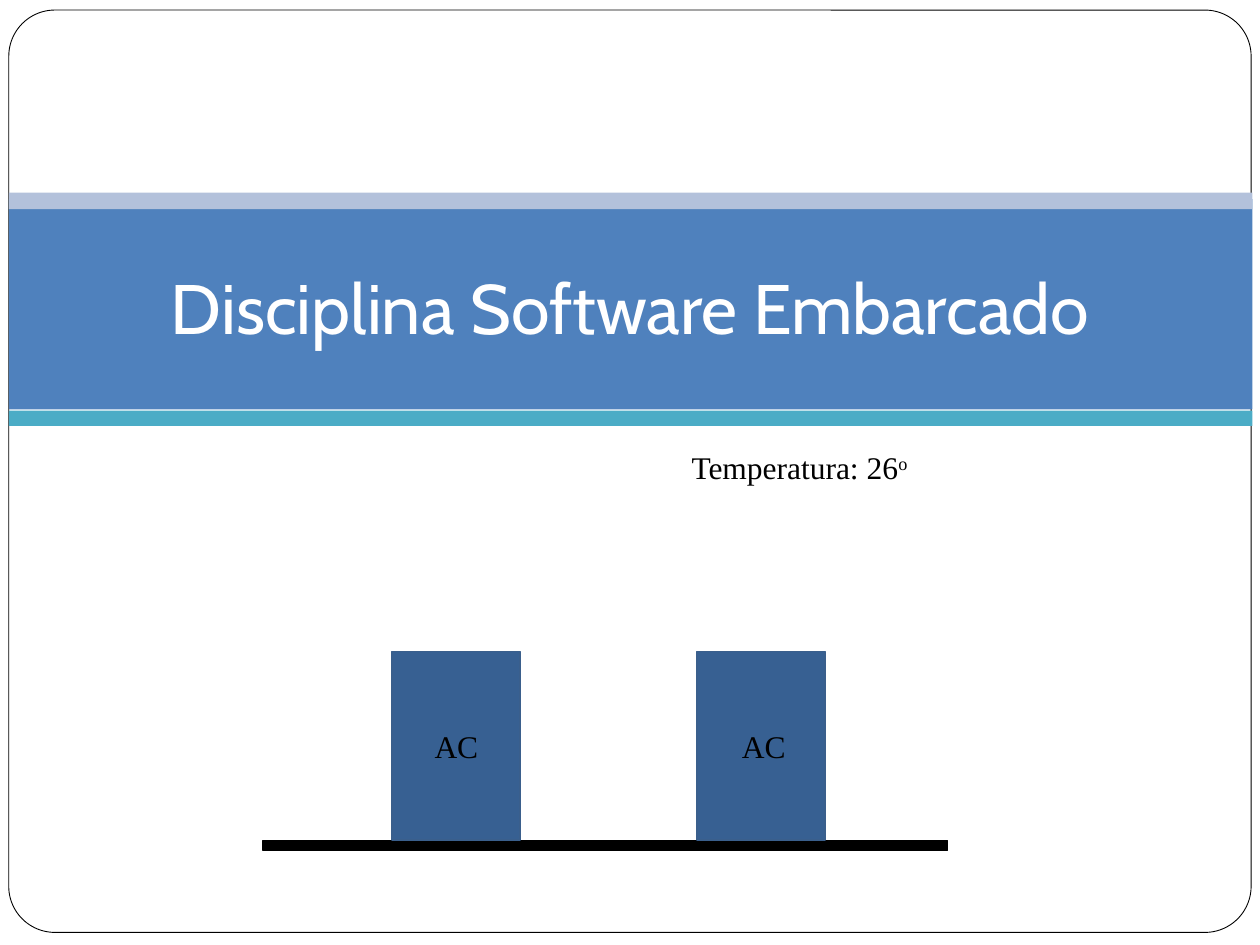
from dataclasses import dataclass

from pptx import Presentation
from pptx.dml.color import RGBColor
from pptx.enum.shapes import MSO_SHAPE
from pptx.enum.text import MSO_ANCHOR, MSO_AUTO_SIZE, PP_ALIGN
from pptx.util import Inches, Pt


@dataclass(frozen=True)
class Theme:
    white: str = "FFFFFF"
    black: str = "000000"
    band: str = "4F81BD"
    upper_stripe: str = "B3C1DB"
    lower_stripe: str = "4BACC6"
    unit: str = "376092"
    unit_line: str = "3A5F8C"
    title_font: str = "Cabin"
    body_font: str = "Times New Roman"
    title_size: int = 40
    body_size: int = 18


THEME = Theme()
SLIDE_WIDTH, SLIDE_HEIGHT = 10, 7.5
BAND_LEFT, BAND_WIDTH = 0.07, 9.87
FLOOR_TOP = 6.67
UNIT_WIDTH, UNIT_HEIGHT = 1.02, 1.5
UNIT_TOP = FLOOR_TOP - UNIT_HEIGHT
LABEL_TOP = 5.72
UNITS = ((3.11, 3.35), (5.53, 5.79))


def apply_format(target, values):
    for name, value in values.items():
        setattr(target, name, value)


def format_font(font, name, size, color):
    apply_format(font, {"name": name, "size": Pt(size), "bold": False})
    font.color.rgb = RGBColor.from_string(color)


def add_box(slide, box, fill, line=None, line_width=1, kind=MSO_SHAPE.RECTANGLE):
    shape = slide.shapes.add_shape(kind, *map(Inches, box))
    shape.shadow.inherit = False
    shape.fill.solid()
    shape.fill.fore_color.rgb = RGBColor.from_string(fill)
    if line:
        shape.line.color.rgb = RGBColor.from_string(line)
        shape.line.width = Pt(line_width)
    else:
        shape.line.fill.background()
    return shape


def add_label(slide, box, text, superscript=None):
    frame = slide.shapes.add_textbox(*map(Inches, box)).text_frame
    apply_format(frame, {"word_wrap": True, "auto_size": MSO_AUTO_SIZE.SHAPE_TO_FIT_TEXT})
    paragraph = frame.paragraphs[0]
    for content in filter(None, (text, superscript)):
        run = paragraph.add_run()
        run.text = content
        format_font(run.font, THEME.body_font, THEME.body_size, THEME.black)
        if content == superscript:
            run._r.get_or_add_rPr().set("baseline", "30000")


def add_background(slide):
    frame = add_box(slide, (0.07, 0.08, 9.86, 7.32), THEME.white, THEME.black, 0.5,
                    MSO_SHAPE.ROUNDED_RECTANGLE)
    frame.adjustments[0] = 0.05
    for top, height, color in (
        (1.58, 1.67, THEME.band),
        (1.53, 0.13, THEME.upper_stripe),
        (3.26, 0.12, THEME.lower_stripe),
    ):
        add_box(slide, (BAND_LEFT, top, BAND_WIDTH, height), color)


def place_title(slide, text):
    title = slide.shapes.title
    title.element.getparent().append(title.element)
    apply_format(title, {
        "left": Inches(0.5), "top": Inches(1.65),
        "width": Inches(9), "height": Inches(1.61),
    })
    frame = title.text_frame
    frame.text = text
    apply_format(frame, {
        "word_wrap": True, "auto_size": MSO_AUTO_SIZE.NONE,
        "vertical_anchor": MSO_ANCHOR.MIDDLE,
        "margin_left": Inches(0.1), "margin_right": Inches(0.1),
        "margin_top": Inches(0.05), "margin_bottom": Inches(0.1),
    })
    paragraph = frame.paragraphs[0]
    paragraph.alignment = PP_ALIGN.CENTER
    format_font(paragraph.runs[0].font, THEME.title_font, THEME.title_size, THEME.white)


def add_air_conditioner(slide, left, label_left):
    add_box(slide, (left, UNIT_TOP, UNIT_WIDTH, UNIT_HEIGHT), THEME.unit, THEME.unit_line)
    add_label(slide, (label_left, LABEL_TOP, 0.55, 0.4), "AC")


def main():
    presentation = Presentation()
    apply_format(presentation, {
        "slide_width": Inches(SLIDE_WIDTH), "slide_height": Inches(SLIDE_HEIGHT),
    })
    slide = presentation.slides.add_slide(presentation.slide_layouts[5])
    add_background(slide)
    place_title(slide, "Disciplina Software Embarcado")
    add_box(slide, (2.09, FLOOR_TOP, 5.43, 0.08), THEME.black, THEME.black)
    for left, label_left in UNITS:
        add_air_conditioner(slide, left, label_left)
    add_label(slide, (5.39, 3.51, 2.13, 0.4), "Temperatura: 26", "o")
    presentation.save("out.pptx")


if __name__ == "__main__":
    main()
